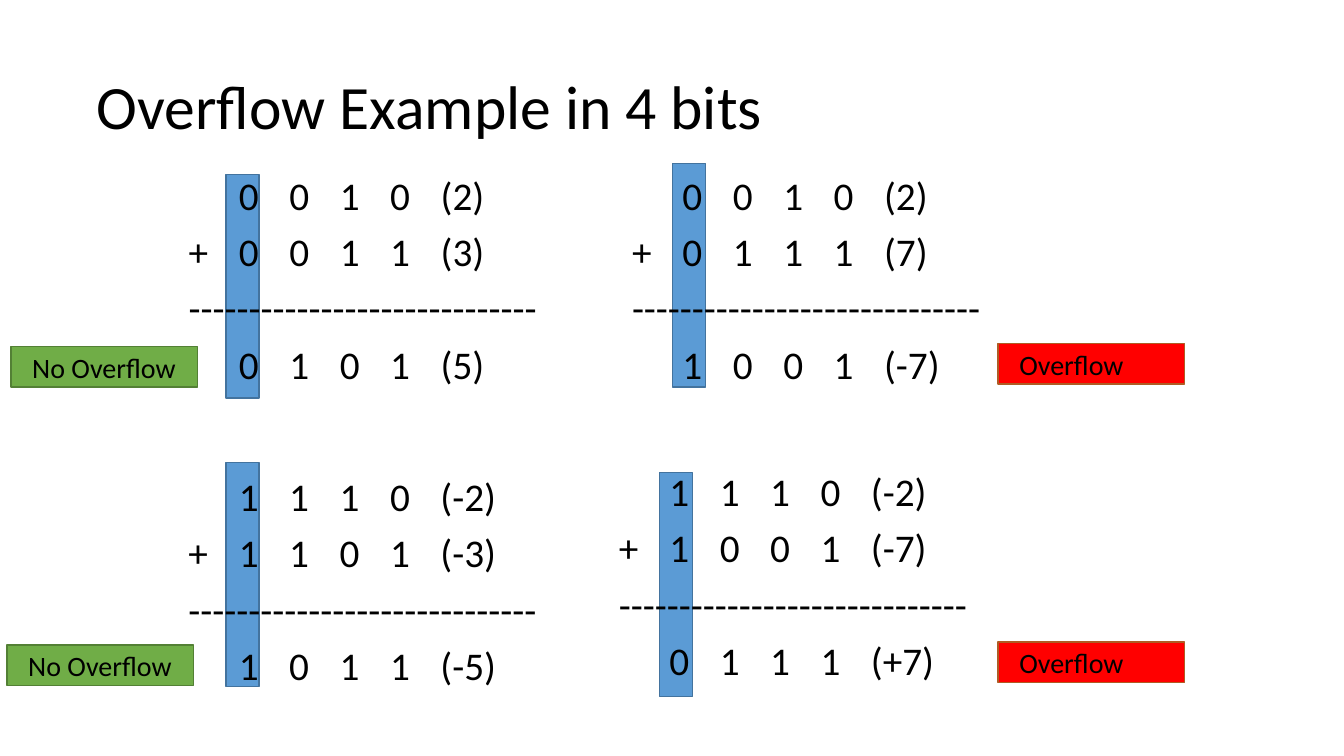
"""Build a slide with four 4-bit additions and their overflow verdicts."""
from lxml import etree
from pptx import Presentation
from pptx.dml.color import RGBColor
from pptx.enum.shapes import MSO_SHAPE
from pptx.enum.text import MSO_ANCHOR, MSO_AUTO_SIZE, PP_ALIGN
from pptx.oxml.ns import qn
from pptx.util import Inches, Pt

RECTANGLE = MSO_SHAPE.RECTANGLE
MIDDLE, TOP = MSO_ANCHOR.MIDDLE, MSO_ANCHOR.TOP
LEFT = PP_ALIGN.LEFT
NO_AUTOFIT = MSO_AUTO_SIZE.NONE
BLACK = RGBColor(0x00, 0x00, 0x00)
BLUE, BLUE_EDGE = RGBColor(0x5B, 0x9B, 0xD5), RGBColor(0x43, 0x73, 0x9E)
GREEN, GREEN_EDGE = RGBColor(0x70, 0xAD, 0x47), RGBColor(0x53, 0x80, 0x35)
RED, RED_EDGE = RGBColor(0xFF, 0x00, 0x00), RGBColor(0xAF, 0x5C, 0x24)

DIGIT_WIDTH, GAP_UNIT = 0.197, 0.088
DASHES = "-" * 29
FIRST, RESULT = (5, 2, 2, 2, 6), (5, 3, 3, 3, 4)

SUMS = [
    ((1.77, 1.7, 3.78, 2.69), (2.24, 1.73), [
        ("", "0010", "(2)", FIRST),
        ("+", "0011", "(3)", (3, 2, 2, 2, 5)),
        ("", "0101", "(5)", RESULT)]),
    ((6.04, 4.64, 3.78, 2.62), (6.54, 4.69), [
        ("", "1110", "(-2)", FIRST),
        ("+", "1001", "(-7)", (3, 2, 3, 1, 5)),
        ("", "0111", "(+7)", RESULT)]),
    ((1.77, 4.69, 3.78, 2.69), (2.24, 4.59), [
        ("", "1110", "(-2)", FIRST),
        ("+", "1101", "(-3)", (3, 3, 2, 2, 5)),
        ("", "1011", "(-5)", RESULT)]),
    ((6.17, 1.7, 3.78, 2.62), (6.67, 1.62), [
        ("", "0010", "(2)", FIRST),
        ("+", "0111", "(7)", (3, 3, 2, 2, 5)),
        ("", "1001", "(-7)", RESULT)]),
]
VERDICTS = [
    ("No Overflow", 0.11, 3.44, GREEN, GREEN_EDGE),
    ("No Overflow", 0.07, 6.4, GREEN, GREEN_EDGE),
    ("Overflow", 9.9, 3.41, RED, RED_EDGE),
    ("Overflow", 9.9, 6.37, RED, RED_EDGE),
]


def add_block(left, top, width, height, fill, edge):
    block = slide.shapes.add_shape(
        RECTANGLE, Inches(left), Inches(top), Inches(width), Inches(height))
    block.shadow.inherit = False
    block.fill.solid()
    block.fill.fore_color.rgb = fill
    block.line.color.rgb = edge
    block.line.width = Pt(1)
    return block


def style(paragraph, size):
    paragraph.alignment = LEFT
    paragraph.font.name = "Calibri"
    paragraph.font.size = Pt(size)
    paragraph.font.color.rgb = BLACK


prs = Presentation()
prs.slide_width, prs.slide_height = Inches(13.33), Inches(7.5)
slide = prs.slides.add_slide(prs.slide_layouts[1])

for _, (left, top), _ in SUMS:
    add_block(left, top, 0.33, 2.22, BLUE, BLUE_EDGE)

title, first_sum = slide.shapes.title, slide.placeholders[1]
for placeholder in (title, first_sum):
    slide.shapes.element.append(placeholder.element)

title.left, title.top = Inches(0.86), Inches(0.48)
title.width, title.height = Inches(11.5), Inches(1.22)
title.text_frame.text = "Overflow Example in 4 bits"
title.text_frame.vertical_anchor = MIDDLE
title.text_frame.auto_size = NO_AUTOFIT
title.text_frame.paragraphs[0].line_spacing = 0.9
style(title.text_frame.paragraphs[0], 44)

for index, (box, _, rows) in enumerate(SUMS):
    left, top, width, height = map(Inches, box)
    if index == 0:
        addition = first_sum
        addition.left, addition.top = left, top
        addition.width, addition.height = width, height
    else:
        addition = slide.shapes.add_textbox(left, top, width, height)
    frame = addition.text_frame
    frame.word_wrap = True
    frame.auto_size = NO_AUTOFIT
    frame.vertical_anchor = TOP
    lines = ["\t".join([sign, *digits, value]) for sign, digits, value, _ in rows]
    lines.insert(2, DASHES)
    gaps_by_line = [gaps for *_, gaps in rows]
    gaps_by_line.insert(2, ())
    frame.text = "\n".join(lines)
    for paragraph, line, gaps in zip(frame.paragraphs, lines, gaps_by_line):
        style(paragraph, 28)
        paragraph.line_spacing = 0.9
        paragraph.space_before = Pt(10)
        properties = paragraph.font._element.getparent()
        properties.set("marL", "0")
        properties.set("indent", "0")
        bullet_off = etree.Element(qn("a:buNone"))
        tab_list = etree.Element(qn("a:tabLst"))
        properties.find(qn("a:defRPr")).addprevious(bullet_off)
        if gaps:
            bullet_off.addnext(tab_list)
        stop = DIGIT_WIDTH if line.startswith("+") else 0
        for gap in gaps:
            stop += gap * GAP_UNIT
            etree.SubElement(tab_list, qn("a:tab"), pos=str(Inches(stop)), algn="l")
            stop += DIGIT_WIDTH

for wording, left, top, fill, edge in VERDICTS:
    verdict = add_block(left, top, 1.85, 0.4, fill, edge)
    frame = verdict.text_frame
    frame.text = wording
    frame.word_wrap = True
    frame.vertical_anchor = MIDDLE
    frame.margin_left, frame.margin_right = Inches(0.21), 0
    frame.margin_top = frame.margin_bottom = 0
    style(frame.paragraphs[0], 20)

prs.save("out.pptx")
